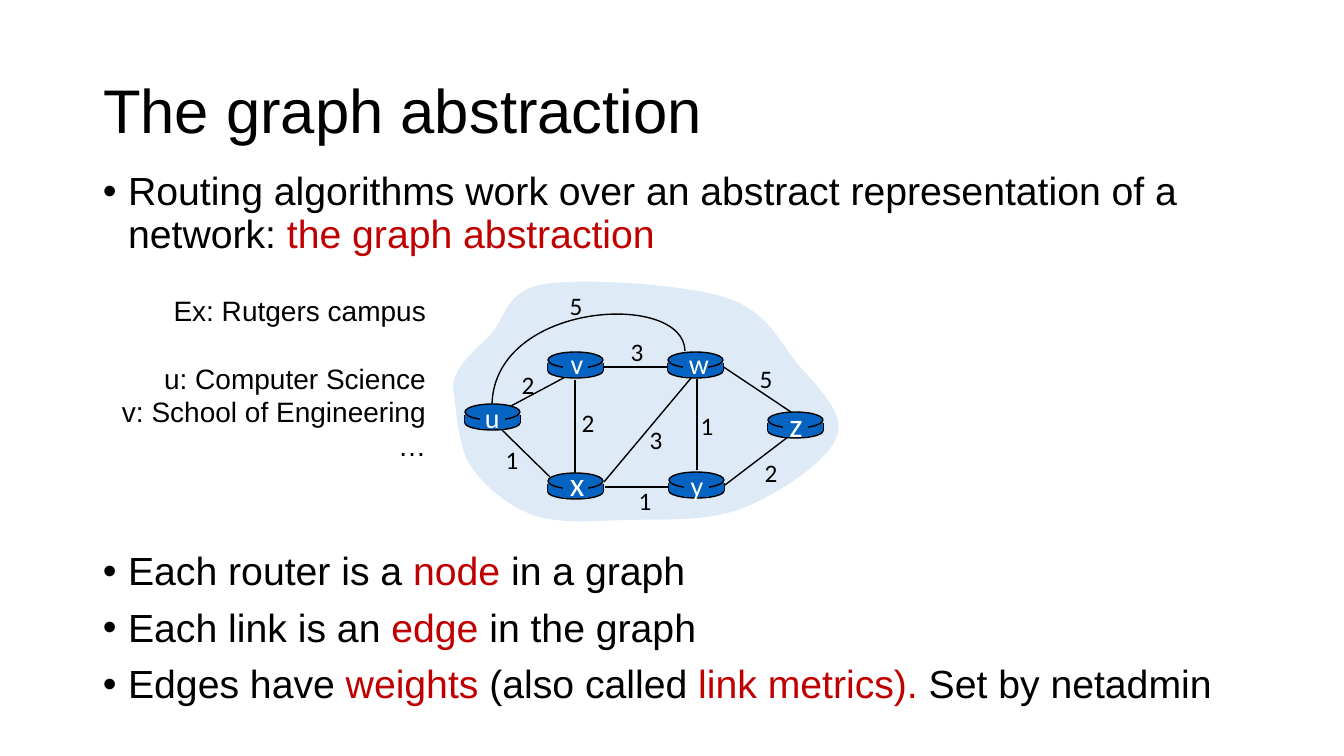
from dataclasses import dataclass
from itertools import chain, cycle

from lxml import etree
from pptx import Presentation
from pptx.dml.color import RGBColor as RGB
from pptx.enum.shapes import MSO_CONNECTOR as CONNECTOR, MSO_SHAPE as SHAPE
from pptx.enum.text import MSO_ANCHOR as ANCHOR, MSO_AUTO_SIZE as AUTOSIZE, PP_ALIGN as ALIGN
from pptx.oxml.ns import qn
from pptx.util import Inches, Pt

PX = Inches(1) / 100.8
TITLE_ONLY = 5


@dataclass(frozen=True)
class Theme:
    ink: RGB = RGB(0, 0, 0)
    white: RGB = RGB(255, 255, 255)
    accent: RGB = RGB(0xC0, 0, 0)
    router: RGB = RGB(0x05, 0x63, 0xC1)
    network: RGB = RGB(0xDE, 0xEB, 0xF7)
    text_font: str = "Arial"
    graph_font: str = "Calibri"
    title: int = 44
    bullet: int = 28
    example: int = 20
    weight: int = 18
    stroke: int = 1


THEME = Theme()

# Space before, then plain and accented parts in turn.
BULLETS = [
    (0, ["Routing algorithms work over an abstract representation of a network: ",
         "the graph abstraction"]),
    (211, ["Each router is a ", "node", " in a graph"]),
    (10, ["Each link is an ", "edge", " in the graph"]),
    (10, ["Edges have ", "weights ", "(also called ", "link metrics). ", "Set by netadmin"]),
]
EXAMPLE = [(0, "Ex: Rutgers campus"), (24, "u: Computer Science"),
           (0, "v: School of Engineering"), (0, "…")]

# Name, left and top of the lid, centre of the name, type size.
ROUTERS = [
    ("u", (465, 404), (492, 418), 20),
    ("x", (548, 473), (577, 483), 24),
    ("v", (548, 352), (577, 364), 20),
    ("w", (668, 352), (696, 364), 20),
    ("y", (669, 472), (697, 486), 20),
    ("z", (768, 412), (796, 424), 24),
]

# Start, end, weight, centre of the weight.
LINKS = [
    ((511, 406), (571, 374), "2", (528, 385)),
    ((697, 379), (697, 470), "1", (707, 426)),
    ((575, 380), (575, 474), "2", (588, 423)),
    ((604, 482), (692, 377), "3", (656, 440)),
    ((725, 485), (788, 437), "2", (771, 473)),
    ((669, 487), (605, 487), "1", (645, 501)),
    ((550, 477), (502, 430), "1", (512, 460)),
    ((668, 367), (604, 367), "3", (637, 352)),
    ((791, 412), (722, 366), "5", (766, 379)),
]
ARC = [(685, 351), (684, 291), (495, 301), (492, 404)]
ARC_WEIGHT, ARC_WEIGHT_CENTRE = "5", (576, 306)
NETWORK = [
    (453, 387),
    (454, 366), (475, 351), (491, 334),
    (506, 317), (506, 290), (545, 284),
    (584, 278), (681, 284), (724, 297),
    (766, 310), (778, 339), (796, 362),
    (815, 385), (846, 412), (837, 436),
    (829, 461), (778, 494), (743, 508),
    (708, 522), (661, 519), (626, 520),
    (592, 521), (559, 524), (533, 515),
    (508, 506), (484, 486), (470, 465),
    (457, 444), (456, 403), (453, 387),
]


def emu(*lengths):
    return [round(length * PX) for length in lengths]


def style_font(paragraph, name, size, color):
    paragraph.font.name = name
    paragraph.font.size = Pt(size)
    paragraph.font.color.rgb = color


def paint(shape, fill=None, stroke=None):
    shape.shadow.inherit = False
    if fill is None:
        shape.fill.background()
    else:
        shape.fill.solid()
        shape.fill.fore_color.rgb = fill
    if stroke is None:
        shape.line.fill.background()
    else:
        shape.line.color.rgb = stroke
        shape.line.width = Pt(THEME.stroke)


def add_block(shapes, kind, box, stroke=None):
    paint(shapes.add_shape(kind, *emu(*box)), THEME.router, stroke)


def add_line(shapes, start, end):
    line = shapes.add_connector(CONNECTOR.STRAIGHT, *emu(*start, *end))
    line.line.color.rgb = THEME.ink
    line.line.width = Pt(THEME.stroke)
    etree.SubElement(line._element.spPr, qn("a:effectLst"))


def add_curve(shapes, points, closed=False, fill=None, stroke=None):
    """Turn each three points after the first into one cubic Bézier segment."""
    outline = shapes.build_freeform(*emu(*points[0]))
    outline.add_line_segments([emu(*point) for point in points[1:]], close=closed)
    curve = outline.convert_to_shape()
    corners = list(curve._element.iter(qn("a:lnTo")))
    for first, second, last in zip(*[iter(corners)] * 3):
        first.tag = qn("a:cubicBezTo")
        for corner in (second, last):
            first.append(corner[0])
            corner.getparent().remove(corner)
    paint(curve, fill, stroke)


def add_label(shapes, text, centre, size, color):
    width, height = 34, round(size * 1.7) + 10
    x, y = centre
    frame = shapes.add_textbox(*emu(x - width / 2, y - height / 2, width, height)).text_frame
    frame.word_wrap = False
    frame.auto_size = AUTOSIZE.SHAPE_TO_FIT_TEXT
    paragraph = frame.paragraphs[0]
    paragraph.text = text
    paragraph.alignment = ALIGN.CENTER
    style_font(paragraph, THEME.graph_font, size, color)


def add_router(shapes, name, corner, centre, size):
    x, y = corner
    side_top = y + 11
    add_block(shapes, SHAPE.OVAL, (x, side_top + 1, 55, 14), THEME.ink)
    for side in (x, x + 55):
        add_line(shapes, (side, side_top), (side, side_top + 8))
    add_block(shapes, SHAPE.RECTANGLE, (x, side_top, 55, 8))
    add_block(shapes, SHAPE.OVAL, (x, y, 55, 16), THEME.ink)
    add_block(shapes, SHAPE.RECTANGLE, (x + 15, y + 2, 25, 23))
    add_label(shapes, name, centre, size, THEME.white)


def add_network(shapes):
    add_curve(shapes, NETWORK, closed=True, fill=THEME.network)
    for start, end, _, _ in LINKS:
        add_line(shapes, start, end)
    add_curve(shapes, ARC, stroke=THEME.ink)
    for router in ROUTERS:
        add_router(shapes, *router)
    weights = [link[2:] for link in LINKS]
    for weight, centre in chain(weights, [(ARC_WEIGHT, ARC_WEIGHT_CENTRE)]):
        add_label(shapes, weight, centre, THEME.weight, THEME.ink)


def set_title(title, text):
    title.left, title.top, title.width, title.height = emu(93, 41, 1159, 146)
    frame = title.text_frame
    frame.auto_size = AUTOSIZE.NONE
    frame.vertical_anchor = ANCHOR.MIDDLE
    paragraph = frame.paragraphs[0]
    paragraph.text = text
    paragraph.alignment = ALIGN.LEFT
    paragraph.line_spacing = 0.9
    style_font(paragraph, THEME.text_font, THEME.title, THEME.ink)


def add_paragraphs(shapes, box, rows):
    """Yield an empty paragraph and its content for each (gap, content) row."""
    frame = shapes.add_textbox(*emu(*box)).text_frame
    frame.word_wrap = True
    for index, (gap, content) in enumerate(rows):
        paragraph = frame.add_paragraph() if index else frame.paragraphs[0]
        paragraph.space_before = Pt(gap)
        yield paragraph, content


def add_bullets(shapes):
    for paragraph, parts in add_paragraphs(shapes, (93, 167, 1214, 589), BULLETS):
        properties = paragraph._p.get_or_add_pPr()
        properties.set("marL", str(Inches(0.25)))
        properties.set("indent", str(-Inches(0.25)))
        etree.SubElement(properties, qn("a:buFont"), typeface=THEME.text_font)
        etree.SubElement(properties, qn("a:buChar"), char="•")
        paragraph.line_spacing = 0.9
        style_font(paragraph, THEME.text_font, THEME.bullet, THEME.ink)
        for part, color in zip(parts, cycle((THEME.ink, THEME.accent))):
            run = paragraph.add_run()
            run.text = part
            run.font.color.rgb = color


def add_example(shapes):
    for paragraph, text in add_paragraphs(shapes, (104, 289, 332, 179), EXAMPLE):
        paragraph.text = text
        paragraph.alignment = ALIGN.RIGHT
        style_font(paragraph, THEME.text_font, THEME.example, THEME.ink)


def main():
    deck = Presentation()
    deck.slide_width, deck.slide_height = emu(1344, 756)
    slide = deck.slides.add_slide(deck.slide_layouts[TITLE_ONLY])
    set_title(slide.shapes.title, "The graph abstraction")
    add_bullets(slide.shapes)
    add_network(slide.shapes)
    add_example(slide.shapes)
    deck.save("out.pptx")


if __name__ == "__main__":
    main()
